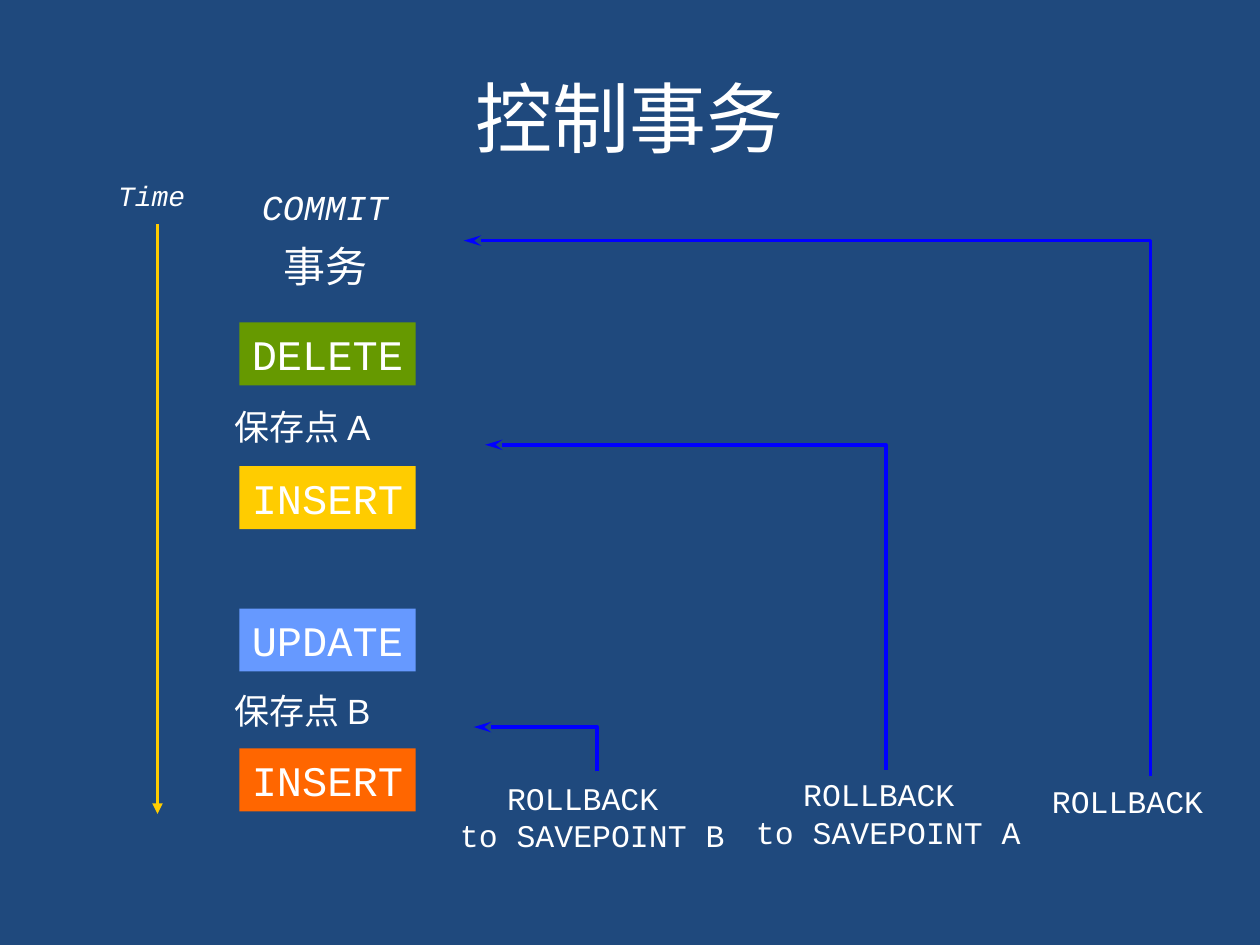
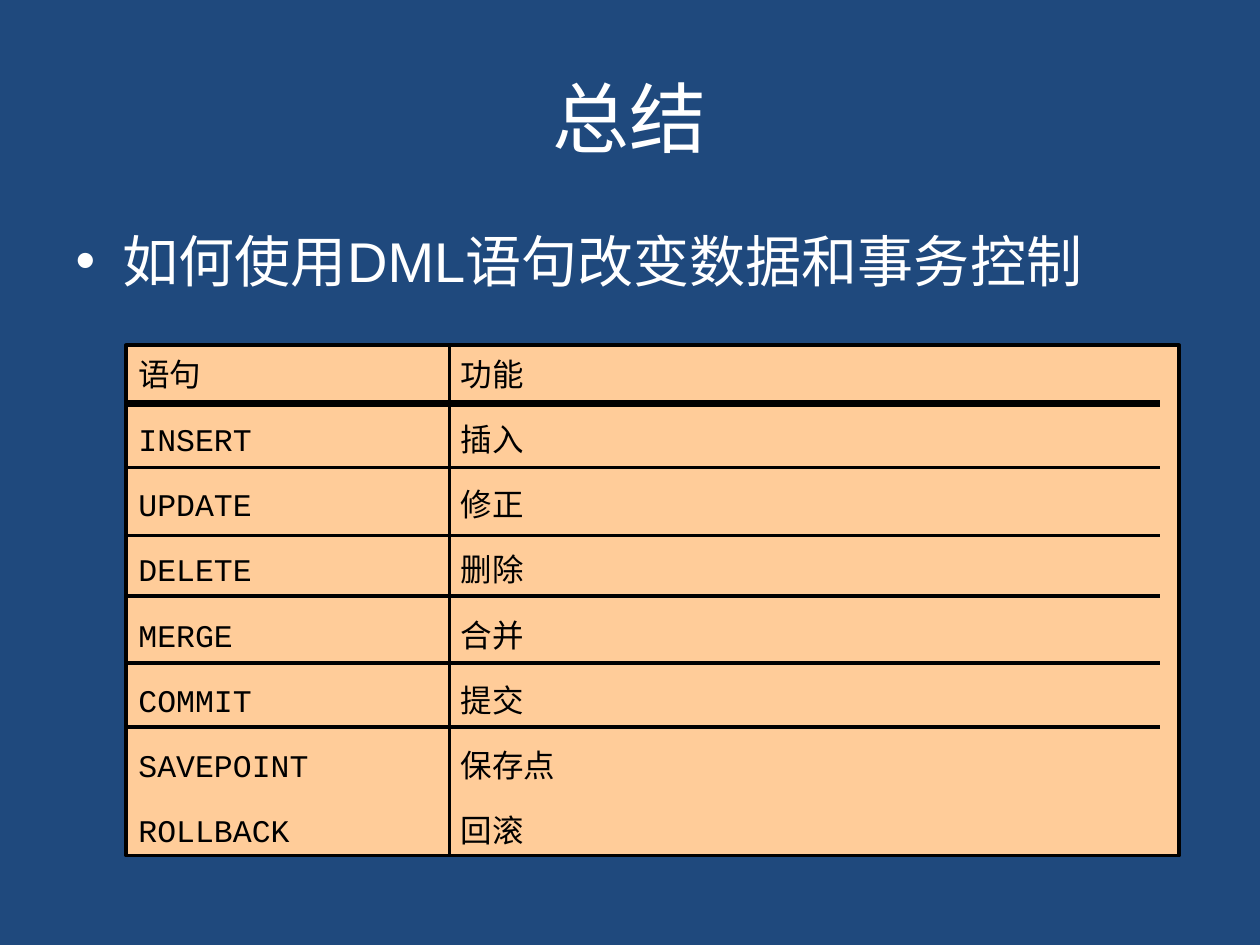
from dataclasses import dataclass

from lxml import etree
from pptx import Presentation
from pptx.dml.color import RGBColor
from pptx.enum import shapes, text
from pptx.oxml import ns
from pptx.util import Inches, Pt

COLORS = {
    "navy": "1F497D", "white": "FFFFFF", "black": "000000", "blue": "0000FF",
    "green": "669900", "gold": "FFCC00", "sky": "6699FF", "orange": "FF6600",
    "peach": "FFCC99",
}
ARIAL, CALIBRI, COURIER = "Arial", "Calibri", "Courier New"
TITLE_ONLY, TITLE_AND_BODY = 5, 1


@dataclass
class Label:
    lines: tuple
    left: float
    top: float
    width: float
    height: float
    size: int
    font: str = COURIER
    italic: bool = False
    wrap: bool = True
    centered: bool = False


@dataclass
class Step:
    name: str
    top: float
    color: str


@dataclass
class RollbackPath:
    start_x: float
    start_y: float
    end_x: float
    end_y: float


@dataclass
class Column:
    heading: str
    entries: tuple
    left: float
    width: float
    font: str


# Transaction slide
LABELS = [
    Label(("保存点 B",), 1.76, 5.42, 2.24, 0.43, 20, ARIAL),
    Label(("保存点 A",), 1.76, 3.17, 2.24, 0.43, 20, ARIAL),
    Label(("COMMIT",), 1.98, 1.42, 1.42, 0.43, 20, italic=True),
    Label(("Time",), 0.84, 1.37, 0.8, 0.37, 16, italic=True),
    Label(("事务",), 2.15, 1.86, 0.87, 0.5, 24, ARIAL, wrap=False),
    Label(("ROLLBACK ", "to SAVEPOINT B"), 3.55, 6.13, 2.3, 0.7, 18,
          wrap=False, centered=True),
    Label(("ROLLBACK ", "to SAVEPOINT A"), 5.9, 6.1, 2.3, 0.7, 18,
          wrap=False, centered=True),
    Label(("ROLLBACK",), 8.25, 6.16, 1.4, 0.4, 18, wrap=False),
]
STEPS = [
    Step("DELETE", 2.56, "green"),
    Step("INSERT", 3.7, "gold"),
    Step("UPDATE", 4.83, "sky"),
    Step("INSERT", 5.94, "orange"),
]
ROLLBACKS = [
    RollbackPath(4.74, 6.12, 3.76, 5.77),
    RollbackPath(7.03, 6.11, 3.85, 3.53),
    RollbackPath(9.13, 6.16, 3.68, 1.91),
]

# Summary slide
COLUMNS = [
    Column("功能", ("插入", "修正", "删除", "合并", "提交", "保存点", "回滚"),
           3.56, 5.8, ARIAL),
    Column("语句", ("INSERT", "UPDATE", "DELETE", "MERGE", "COMMIT",
                  "SAVEPOINT", "ROLLBACK"), 1, 2.57, COURIER),
]
HEADING_RULE = 3.2
ROW_RULES = [3.71, 4.25, 4.73, 5.26, 5.77]
ROW_PITCH = Pt(37.2)


def rgb(name: str) -> RGBColor:
    return RGBColor.from_string(COLORS[name])


def add_span(para, words: str, size: int, font: str, color: str = "white",
             italic: bool = False) -> None:
    span = para.add_run()
    span.text = words
    span.font.size = Pt(size)
    span.font.name = font
    span.font.color.rgb = rgb(color)
    if italic:
        span.font.italic = True


def add_page(deck, layout: int, title: str):
    page = deck.slides.add_slide(deck.slide_layouts[layout])
    box = page.shapes.title
    box.left, box.top, box.width, box.height = map(Inches, (0.5, 0.3, 9, 1.25))
    box.text_frame.vertical_anchor = text.MSO_ANCHOR.MIDDLE
    para = box.text_frame.paragraphs[0]
    para.alignment = text.PP_ALIGN.CENTER
    add_span(para, title, 44, CALIBRI)
    return page


def style_line(line, color: str, width: float) -> None:
    line.color.rgb = rgb(color)
    line.width = Pt(width)


def add_arrowhead(line, kind: str, length: str = "med") -> None:
    tail = etree.SubElement(line._get_or_add_ln(), ns.qn("a:tailEnd"))
    tail.set("type", kind)
    tail.set("len", length)


def add_line(page, start: tuple, end: tuple, color: str, width: float):
    line = page.shapes.add_connector(
        shapes.MSO_CONNECTOR.STRAIGHT, *map(Inches, start + end))
    style_line(line.line, color, width)
    etree.SubElement(line._element.spPr, ns.qn("a:effectLst"))
    return line


def add_panel(page, left: float, top: float, width: float, height: float,
              color: str):
    """Add a filled rectangle whose text starts at the top left."""
    panel = page.shapes.add_shape(shapes.MSO_SHAPE.RECTANGLE,
                                  *map(Inches, (left, top, width, height)))
    panel.shadow.inherit = False
    panel.fill.solid()
    panel.fill.fore_color.rgb = rgb(color)
    panel.text_frame.vertical_anchor = text.MSO_ANCHOR.TOP
    return panel


def add_label(page, label: Label) -> None:
    box = page.shapes.add_textbox(*map(
        Inches, (label.left, label.top, label.width, label.height)))
    frame = box.text_frame
    frame.word_wrap = label.wrap
    for index, words in enumerate(label.lines):
        para = frame.add_paragraph() if index else frame.paragraphs[0]
        para.alignment = (text.PP_ALIGN.CENTER if label.centered
                          else text.PP_ALIGN.LEFT)
        add_span(para, words, label.size, label.font, italic=label.italic)


def add_step(page, step: Step) -> None:
    panel = add_panel(page, 1.9, step.top, 1.4, 0.5, step.color)
    panel.line.fill.background()
    panel.text_frame.word_wrap = False
    para = panel.text_frame.paragraphs[0]
    para.alignment = text.PP_ALIGN.LEFT
    add_span(para, step.name, 24, COURIER)


def add_rollback(page, route: RollbackPath) -> None:
    start_x, end_x = Inches(route.start_x), Inches(route.end_x)
    start_y, end_y = Inches(route.start_y), Inches(route.end_y)
    builder = page.shapes.build_freeform(start_x, start_y)
    builder.add_line_segments([(start_x, end_y), (end_x, end_y)], close=False)
    bend = builder.convert_to_shape()
    bend.shadow.inherit = False
    bend.fill.background()
    style_line(bend.line, "blue", 2)
    add_arrowhead(bend.line, "stealth", "lg")


def add_column(page, column: Column) -> None:
    panel = add_panel(page, column.left, 2.74, column.width, 4.05, "peach")
    style_line(panel.line, "black", 2)
    frame = panel.text_frame
    frame.word_wrap = True
    heading = frame.paragraphs[0]
    heading.alignment = text.PP_ALIGN.LEFT
    heading.line_spacing = 1.1
    add_span(heading, column.heading, 18, ARIAL, "black")
    for entry in column.entries:
        para = frame.add_paragraph()
        para.alignment = text.PP_ALIGN.LEFT
        para.line_spacing = ROW_PITCH
        add_span(para, entry, 18, column.font, "black")


def build_transaction_page(deck) -> None:
    page = add_page(deck, TITLE_ONLY, "控制事务")
    for step in STEPS:
        add_step(page, step)
    time_axis = add_line(page, (1.25, 1.78), (1.25, 6.46), "gold", 2)
    add_arrowhead(time_axis.line, "triangle")
    for label in LABELS:
        add_label(page, label)
    for route in ROLLBACKS:
        add_rollback(page, route)


def build_summary_page(deck) -> None:
    page = add_page(deck, TITLE_AND_BODY, "总结")
    body = page.placeholders[1]
    body.left, body.top, body.width, body.height = map(
        Inches, (0.5, 1.75, 9, 4.95))
    para = body.text_frame.paragraphs[0]
    para.space_before = Pt(0)
    para.font.color.rgb = rgb("white")
    add_span(para, "如何使用DML语句改变数据和事务", 32, ARIAL)
    add_span(para, "控制", 32, CALIBRI)
    # Statement list with its rules
    for column in COLUMNS:
        add_column(page, column)
    for height in [HEADING_RULE] + ROW_RULES:
        width = 4 if height == HEADING_RULE else 2
        add_line(page, (1.01, height), (9.21, height), "black", width)


def main() -> None:
    deck = Presentation()
    deck.slide_width, deck.slide_height = Inches(10), Inches(7.5)
    # Shared background
    backdrop = deck.slide_master.background.fill
    backdrop.solid()
    backdrop.fore_color.rgb = rgb("navy")
    build_transaction_page(deck)
    build_summary_page(deck)
    deck.save("out.pptx")


if __name__ == "__main__":
    main()
